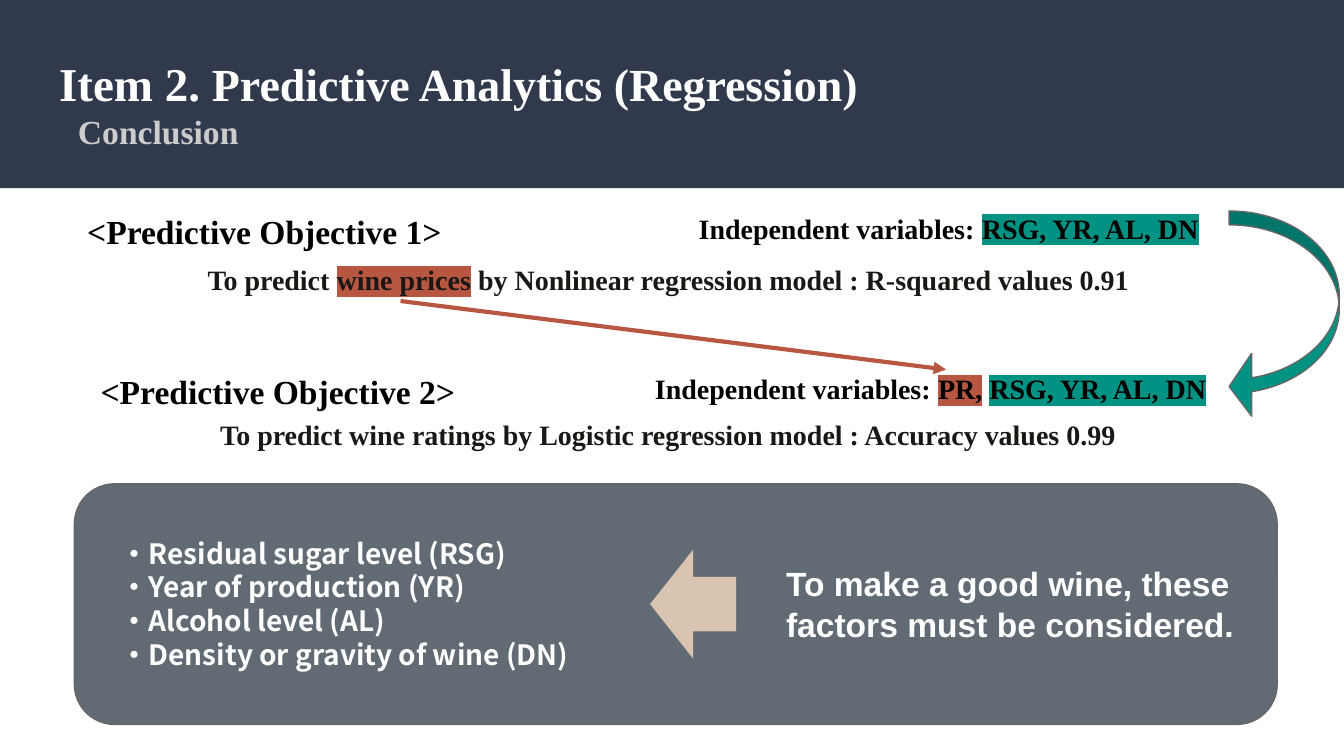
from lxml import etree
from pptx import Presentation
from pptx.dml.color import RGBColor
from pptx.enum.shapes import MSO_CONNECTOR, MSO_SHAPE as SHAPE
from pptx.enum.text import MSO_ANCHOR, MSO_AUTO_SIZE, PP_ALIGN as ALIGN
from pptx.oxml.ns import qn
from pptx.util import Inches, Pt

C = {"navy": "31394D", "teal": "009384", "rust": "B85741", "slate": "626B73",
     "sand": "D9C4B1", "outline": "666666", "ink": "1A1714", "black": "000000",
     "white": "FFFFFF", "silver": "CCCCCC"}
SERIF = "Times New Roman"

prs = Presentation()
prs.slide_width = Inches(10)
prs.slide_height = prs.slide_width * 9 // 16
s = prs.slides.add_slide(prs.slide_layouts[5])
cell = prs.slide_width // 100


def grid(*cells):
    return [int(n * cell) for n in cells]


def add_run(p, text, size, color, font=SERIF, highlight=None):
    r = p.add_run()
    r.text = text
    r.font.size, r.font.bold, r.font.name = Pt(size), True, font
    r.font.color.rgb = RGBColor.from_string(C[color])
    if highlight:
        mark = etree.Element(qn("a:highlight"))
        etree.SubElement(mark, qn("a:srgbClr"), val=C[highlight])
        r._r.rPr.find(qn("a:solidFill")).addnext(mark)


shapes = [
    (SHAPE.RECTANGLE, (0, 0, 100, 14), "navy", False, []),
    (SHAPE.CURVED_LEFT_ARROW, (91.45, 15.7, 8.2, 15.4), "teal", True, [0.126, 0.57, 0.205]),
    (SHAPE.ROUNDED_RECTANGLE, (5.53, 36, 89.5, 17.9), "slate", True, [0.167]),
    (SHAPE.LEFT_ARROW, (48.37, 40.9, 6.4, 8.1), "sand", False, [0.5, 0.5]),
]
for kind, area, color, outlined, adjustments in shapes:
    sp = s.shapes.add_shape(kind, *grid(*area))
    sp.shadow.inherit = False
    sp.fill.solid()
    sp.fill.fore_color.rgb = RGBColor.from_string(C[color])
    if outlined:
        sp.line.color.rgb = RGBColor.from_string(C["outline"])
        sp.line.width = Pt(0.75)
    else:
        sp.line.fill.background()
    for i, value in enumerate(adjustments):
        sp.adjustments[i] = value

link = s.shapes.add_connector(MSO_CONNECTOR.STRAIGHT, *grid(29.8, 22.4, 70.4, 27.5))
link.line.color.rgb = RGBColor.from_string(C["rust"])
link.line.width = Pt(2.25)
etree.SubElement(link.line._get_or_add_ln(), qn("a:tailEnd"), type="triangle")
etree.SubElement(link._element.spPr, qn("a:effectLst"))

factors = ["Residual sugar level (RSG)", "Year of production (YR)",
           "Alcohol level (AL)", "Density or gravity of wine (DN)"]
variables = ("RSG, YR, AL, DN", "teal")
label = ("Independent variables: ", None)
texts = [
    ((4, 18.55, 92, 4.5), 15, "ink", SERIF, ALIGN.CENTER,
     [[("To predict ", None), ("wine prices", "rust"),
       (" by Nonlinear regression model : R-squared values 0.91 ", None)]]),
    ((4, 30.1, 92, 4.5), 15, "ink", SERIF, ALIGN.CENTER,
     [[("To predict wine ratings by Logistic regression model : Accuracy values 0.99 ", None)]]),
    ((51, 14.7, 40.5, 4.5), 15, "black", SERIF, ALIGN.LEFT, [[label, variables]]),
    ((47.75, 26.65, 43.7, 4.5), 15, "black", SERIF, ALIGN.LEFT,
     [[label, ("PR,", "rust"), (" ", None), variables]]),
    ((5.5, 14.7, 31.2, 5), 18, "black", SERIF, ALIGN.LEFT, [[("<Predictive Objective 1>", None)]]),
    ((6.5, 26.6, 30.2, 5), 18, "black", SERIF, ALIGN.LEFT, [[("<Predictive Objective 2>", None)]]),
    ((8, 38.9, 39.8, 12.1), 15, "white", "Noto Sans CJK JP", ALIGN.LEFT,
     [[("・" + factor, None)] for factor in factors]),
    ((57.5, 40.9, 36.9, 8.1), 18, "white", "Arial", ALIGN.LEFT,
     [[("To make a good wine, these factors must be considered.", None)]]),
]
for area, size, color, font, align, paragraphs in texts:
    tf = s.shapes.add_textbox(*grid(*area)).text_frame
    tf.word_wrap = True
    tf.margin_left = tf.margin_right = tf.margin_top = tf.margin_bottom = cell
    for i, runs in enumerate(paragraphs):
        p = tf.add_paragraph() if i else tf.paragraphs[0]
        p.alignment = align
        if len(paragraphs) > 1:
            p.line_spacing = Pt(18)
        for text, highlight in runs:
            add_run(p, text, size, color, font, highlight)

title = s.shapes.title
title.left, title.top, title.width, title.height = grid(3.4, 2.95, 93.2, 9.3)
s.shapes._spTree.append(title._element)
tf = title.text_frame
tf.margin_left = tf.margin_right = tf.margin_top = tf.margin_bottom = cell
tf.vertical_anchor = MSO_ANCHOR.BOTTOM
tf.auto_size = MSO_AUTO_SIZE.NONE
heading, subtitle = tf.paragraphs[0], tf.add_paragraph()
heading.alignment = subtitle.alignment = ALIGN.LEFT
add_run(heading, "Item 2. ", 25.2, "white")
add_run(heading, "Predictive Analytics (Regression)", 24.6, "white")
subtitle._p.get_or_add_pPr().set("marL", str(int(1.4 * cell)))
add_run(subtitle, "Conclusion", 18, "silver")

prs.save("out.pptx")
